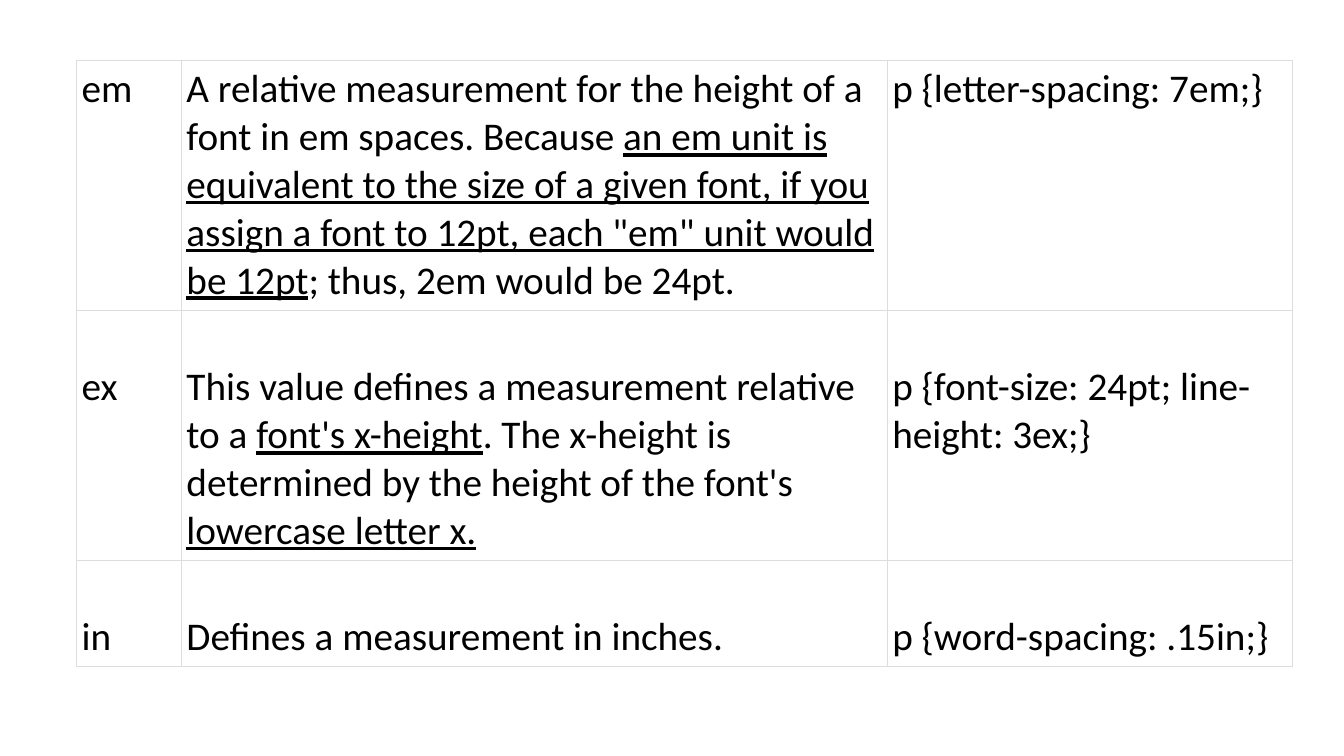
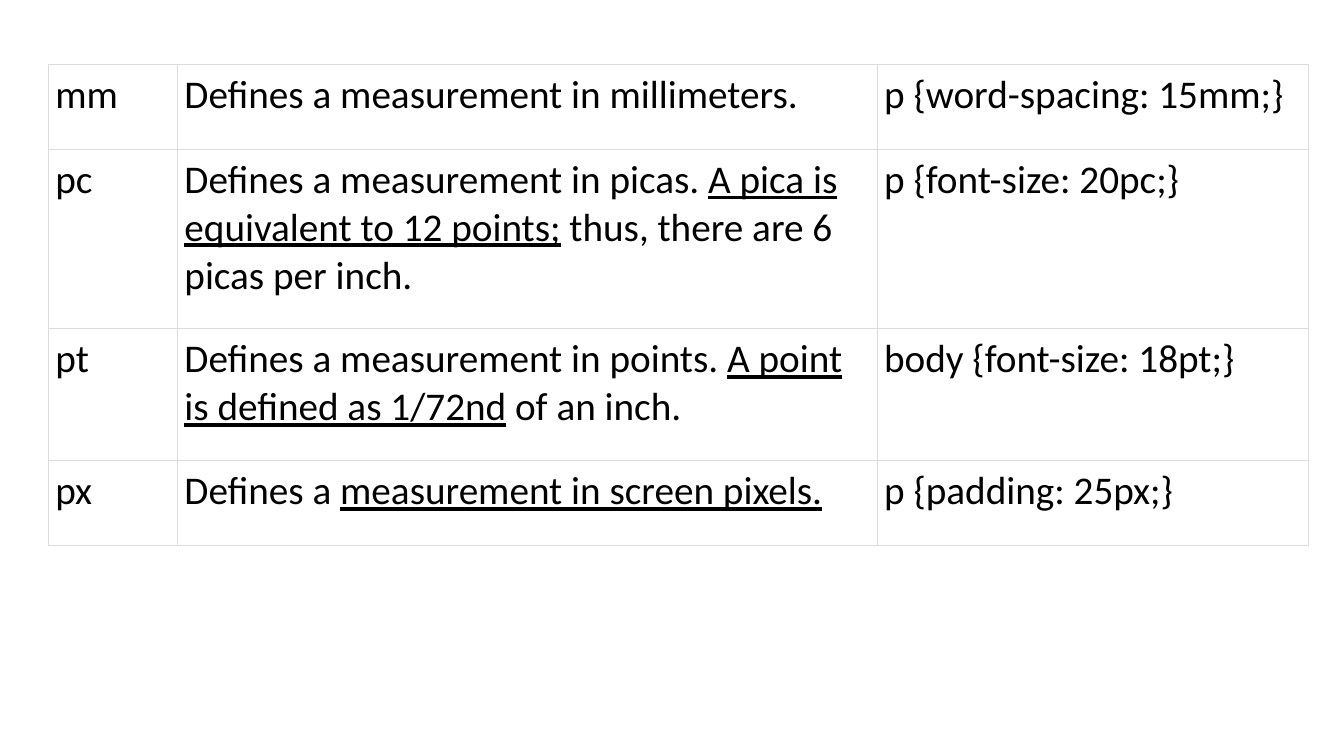
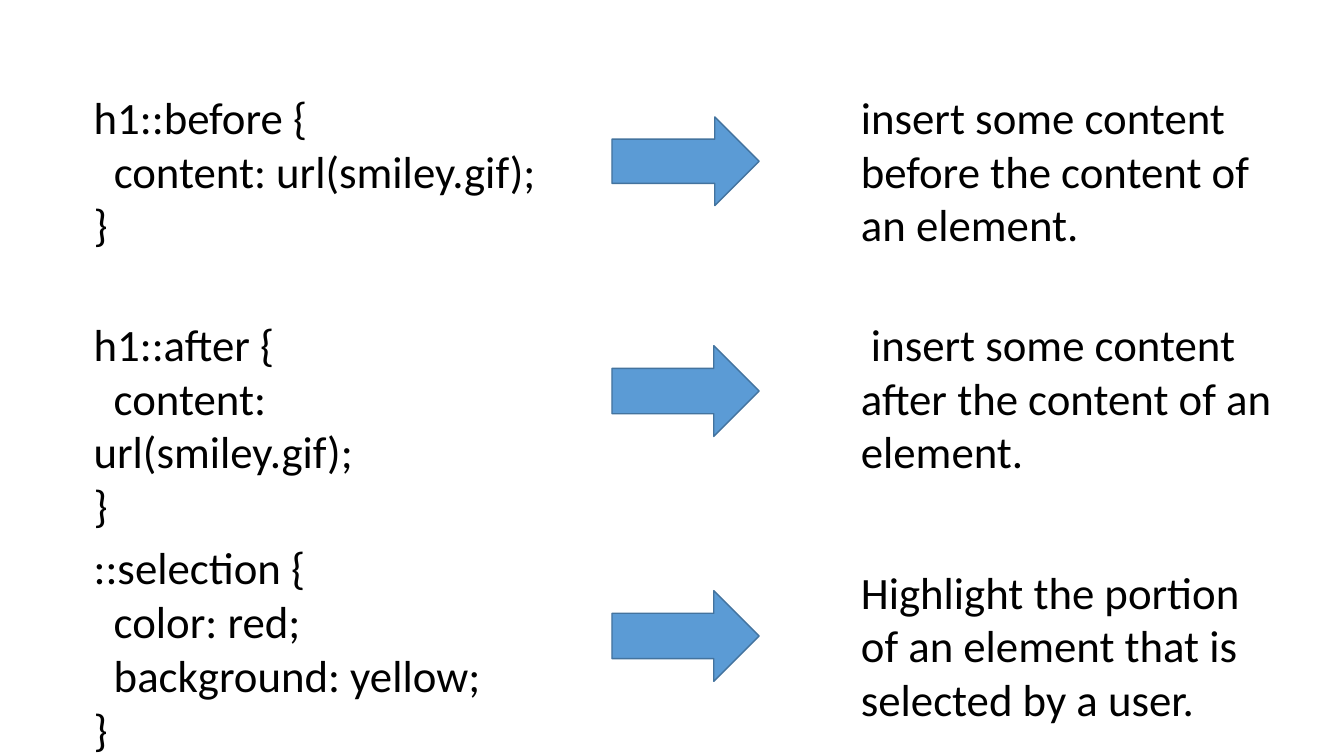
from lxml.etree import SubElement
from pptx import Presentation
from pptx.dml.color import RGBColor
from pptx.enum.shapes import MSO_SHAPE
from pptx.enum.text import MSO_AUTO_SIZE
from pptx.oxml.ns import qn
from pptx.util import Inches, Pt

BLACK = RGBColor(0x00, 0x00, 0x00)
ARROW_FILL = RGBColor(0x5B, 0x9B, 0xD5)
ARROW_LINE = RGBColor(0x43, 0x73, 0x9E)
GRID = RGBColor(0xDD, 0xDD, 0xDD)
FONT = "Calibri"
TABLE_SIZE, CODE_SIZE = Pt(28), Pt(32)
LINE_HEIGHT = 0.48
CODE_INDENT = Inches(0.2)

# Text between bars is underlined.
RELATIVE_UNITS = [
    ("em",
     "A relative measurement for the height of a font in em spaces. Because "
     "|an em unit is equivalent to the size of a given font, if you assign a "
     "font to 12pt, each \"em\" unit would be 12pt|; thus, 2em would be 24pt.",
     "p {letter-spacing: 7em;}"),
    ("ex",
     "This value defines a measurement relative to a |font's x-height|. The "
     "x-height is determined by the height of the font's |lowercase letter x.|",
     "p {font-size: 24pt; line-height: 3ex;}"),
    ("in", "Defines a measurement in inches.", "p {word-spacing: .15in;}"),
]
ABSOLUTE_UNITS = [
    ("mm", "Defines a measurement in millimeters.", "p {word-spacing: 15mm;}"),
    ("pc",
     "Defines a measurement in picas. |A pica is equivalent to 12 points;| "
     "thus, there are 6 picas per inch.",
     "p {font-size: 20pc;}"),
    ("pt",
     "Defines a measurement in points. |A point is defined as 1/72nd| of an inch.",
     "body {font-size: 18pt;}"),
    ("px", "Defines a |measurement in screen pixels.|", "p {padding: 25px;}"),
]
# Top, code lines, code width, meaning, meaning top and width, arrow top and height.
PSEUDO_ELEMENTS = [
    (0.84, ["h1::before {", "\tcontent: url(smiley.gif);", "}"], 4.68,
     "insert some content before the content of an element.", 0.84, 4.48,
     1.16, 0.88),
    (3.09, ["h1::after {", "\tcontent: url(smiley.gif);", "}"], 4.47,
     " insert some content after the content of an element.", 3.09, 4.6,
     3.43, 0.9),
    (5.31, ["::selection {", "\tcolor: red;", "\tbackground: yellow;", "}"], 4.47,
     "Highlight the portion of an element that is selected by a user.", 5.55, 4.32,
     5.86, 0.9),
]


def set_all(target, formats):
    """Set each attribute named in formats on the target."""
    for name, value in formats.items():
        setattr(target, name, value)


def add_text(p, text, size):
    """Add text to a paragraph, underlining what stands between bars."""
    for i, part in enumerate(text.split("|")):
        if part:
            r = p.add_run()
            r.text = part
            set_all(r.font, {"name": FONT, "size": size, "underline": i % 2 == 1})
            r.font.color.rgb = BLACK


def add_borders(cell):
    """Draw a thin grey line on all four sides of a cell."""
    tc_pr = cell._tc.get_or_add_tcPr()
    for side in "LRTB":
        ln = SubElement(tc_pr, qn("a:ln" + side), w=str(Pt(0.75)))
        fill = SubElement(ln, qn("a:solidFill"))
        SubElement(fill, qn("a:srgbClr"), val=str(GRID))


def unit_table(s, left, top, widths, heights, units, inset, lead_rows=()):
    """Place a table of CSS units; lead_rows start one line lower."""
    table = s.shapes.add_table(
        len(heights), len(widths), Inches(left), Inches(top),
        Inches(sum(widths)), Inches(sum(heights))).table
    set_all(table, {"first_row": False, "horz_banding": False})
    for column, width in zip(table.columns, widths):
        column.width = Inches(width)
    for i, (row, height) in enumerate(zip(table.rows, heights)):
        row.height = Inches(height)
        lead = LINE_HEIGHT if i in lead_rows else 0
        for cell, text in zip(row.cells, units[i]):
            set_all(cell, {"margin_left": Inches(inset),
                           "margin_right": Inches(inset),
                           "margin_top": Inches(inset + lead),
                           "margin_bottom": Inches(inset)})
            add_borders(cell)
            cell.fill.background()
            add_text(cell.text_frame.paragraphs[0], text, TABLE_SIZE)


def text_box(s, left, top, width, lines):
    """Place a wrapped text box; lines that start with a tab are indented."""
    height = 0.1 + 0.54 * max(3, len(lines))
    tf = s.shapes.add_textbox(Inches(left), Inches(top),
                              Inches(width), Inches(height)).text_frame
    set_all(tf, {"word_wrap": True, "auto_size": MSO_AUTO_SIZE.SHAPE_TO_FIT_TEXT})
    for i, line in enumerate(lines):
        p = tf.add_paragraph() if i else tf.paragraphs[0]
        if line.startswith("\t"):
            p._p.get_or_add_pPr().set("indent", str(CODE_INDENT))
        add_text(p, line.lstrip("\t"), CODE_SIZE)


def arrow(s, left, top, width, height):
    """Place a block arrow pointing right."""
    sp = s.shapes.add_shape(MSO_SHAPE.RIGHT_ARROW, Inches(left), Inches(top),
                            Inches(width), Inches(height))
    sp.shadow.inherit = False
    sp.fill.solid()
    sp.fill.fore_color.rgb = ARROW_FILL
    sp.line.color.rgb = ARROW_LINE
    sp.line.width = Pt(1)


def pseudo_elements(s, left, elements):
    """Place rows of code, arrow and meaning from the given left edge."""
    for (top, code, code_width, meaning, meaning_top, meaning_width,
         arrow_top, arrow_height) in elements:
        text_box(s, left, top, code_width, code)
        text_box(s, left + 7.61, meaning_top, meaning_width, [meaning])
        arrow(s, left + 5.24, arrow_top, 1.46, arrow_height)


prs = Presentation()
set_all(prs, {"slide_width": Inches(13.33), "slide_height": Inches(7.5)})
blank = prs.slide_layouts[6]
unit_table(prs.slides.add_slide(blank), 0.76, 0.6, [1.04, 7, 4.02],
           [2.47, 2.48, 1.04], RELATIVE_UNITS, 0.05, lead_rows=(1, 2))
unit_table(prs.slides.add_slide(blank), 0.48, 0.64, [1.28, 6.94, 4.28],
           [0.84, 1.78, 1.31, 0.84], ABSOLUTE_UNITS, 0.07)
pseudo_elements(prs.slides.add_slide(blank), 0.83, PSEUDO_ELEMENTS)
prs.save("out.pptx")
